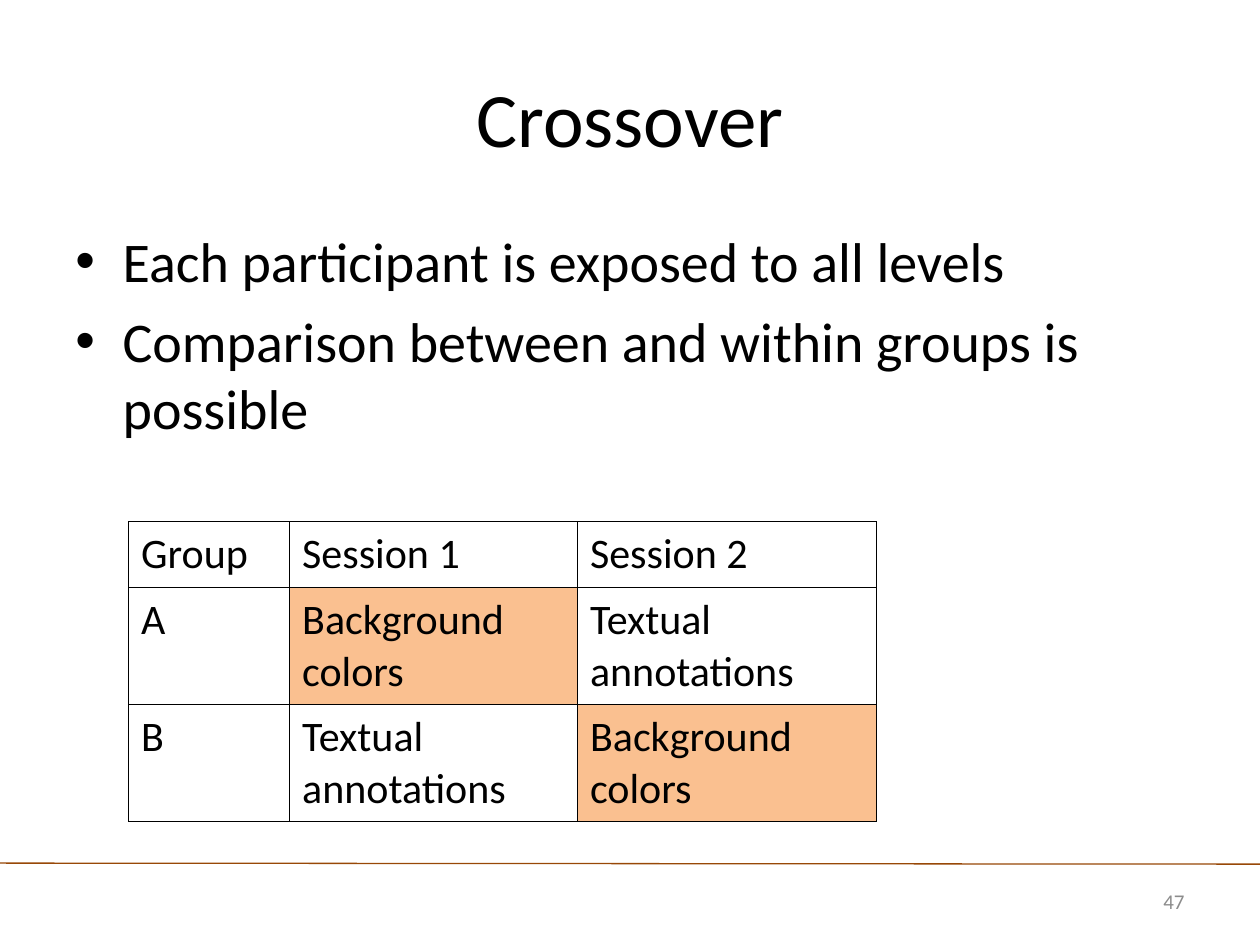
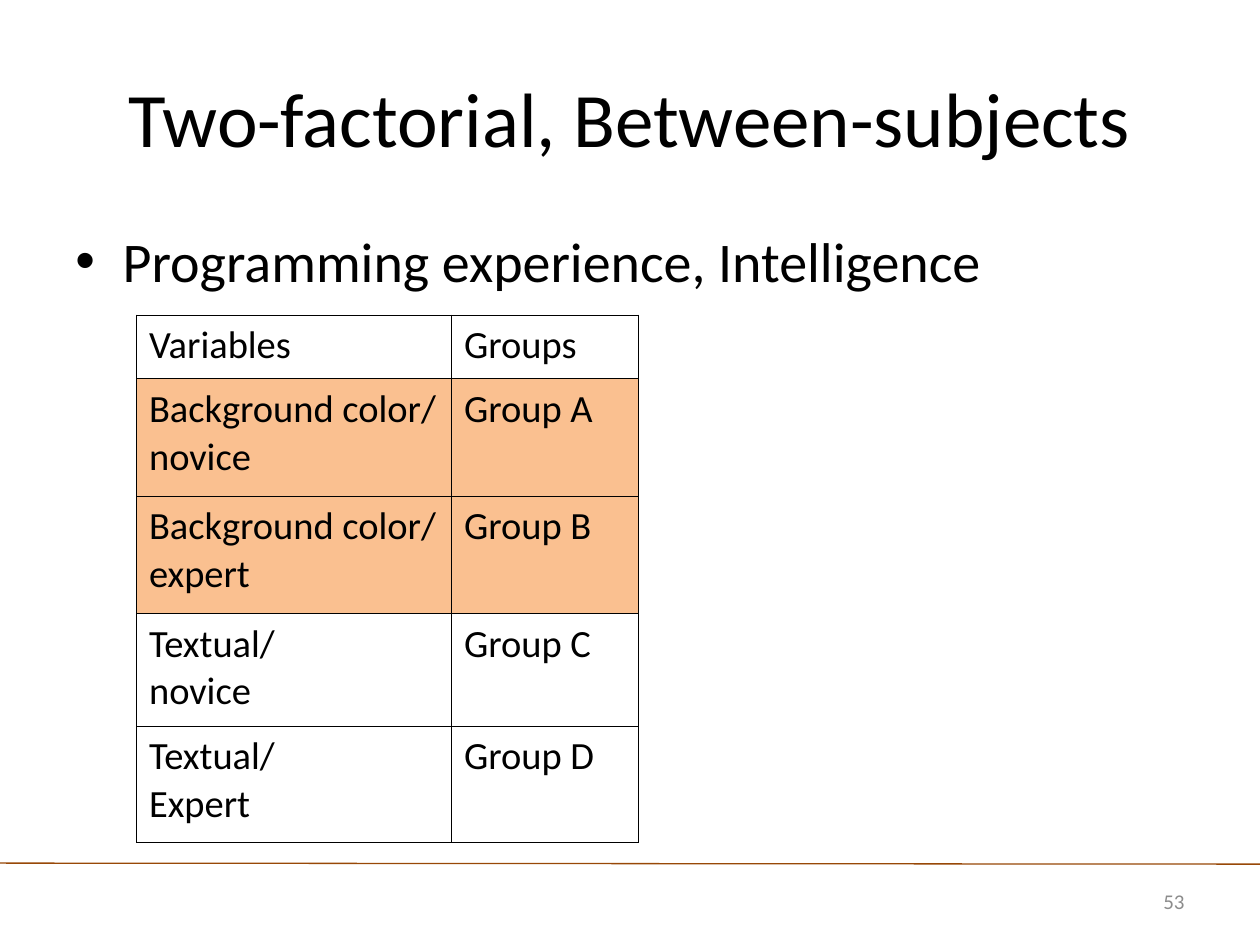
from lxml import etree
from pptx import Presentation
from pptx.dml.color import RGBColor
from pptx.enum import shapes, text
from pptx.oxml import ns
from pptx.util import Pt

FONT = "Calibri"
BLACK, GREY, BROWN, ORANGE, WHITE = "000000", "8C8C8C", "984807", "FAC090", "FFFFFF"
INDENT = 27

slides = [
    {
        "title": "Crossover",
        "bullets": ["Each participant is exposed to all levels",
                    "Comparison between and within groups is possible"],
        "number": "47",
        "table_position": (73.5, 298),
        "columns": [92, 164.5, 171],
        "rows": [37.5, 67, 67],
        "size": 24,
        "cells": [["Group", "Session 1", "Session 2"],
                  ["A", "Background colors", "Textual annotations"],
                  ["B", "Textual annotations", "Background colors"]],
        "highlighted": {(1, 1), (2, 2)},
    },
    {
        "title": "Two-factorial, Between-subjects",
        "bullets": ["Programming experience, Intelligence"],
        "number": "53",
        "table_position": (78, 180),
        "columns": [180, 106.5],
        "rows": [36.5, 67, 67, 64.5, 66.5],
        "size": 22,
        "cells": [["Variables", "Groups"],
                  ["Background color/ novice", "Group A"],
                  ["Background color/\nexpert", "Group B"],
                  ["Textual/\nnovice", "Group C"],
                  ["Textual/\nExpert", "Group D"]],
        "highlighted": {(1, 0), (1, 1), (2, 0), (2, 1)},
    },
]


def color(value):
    return RGBColor.from_string(value)


def write(frame, lines, size, font_color=BLACK, align=text.PP_ALIGN.LEFT):
    """Put each line in its own paragraph and return the paragraphs."""
    frame.word_wrap = True
    for index, line in enumerate(lines):
        paragraph = frame.add_paragraph() if index else frame.paragraphs[0]
        paragraph.alignment = align
        run = paragraph.add_run()
        run.text = line
        run.font.name = FONT
        run.font.size = Pt(size)
        run.font.color.rgb = color(font_color)
    return frame.paragraphs


presentation = Presentation()
presentation.slide_width, presentation.slide_height = Pt(720), Pt(540)

for content in slides:
    slide = presentation.slides.add_slide(presentation.slide_layouts[5])

    # Footer rule
    rule = slide.shapes.add_connector(shapes.MSO_CONNECTOR.STRAIGHT,
                                      Pt(0), Pt(493.2), Pt(720), Pt(493.8))
    rule.line.color.rgb = color(BROWN)
    rule.line.width = Pt(0.75)
    etree.SubElement(rule._element.spPr, ns.qn("a:effectLst"))

    # Title
    title = slide.shapes.title
    title.left, title.top, title.width, title.height = Pt(36), Pt(21.6), Pt(648), Pt(90)
    title.text_frame.vertical_anchor = text.MSO_ANCHOR.MIDDLE
    write(title.text_frame, [content["title"]], 44, align=text.PP_ALIGN.CENTER)

    # Bullets
    body = slide.shapes.add_textbox(Pt(36), Pt(126), Pt(648), Pt(356.4))
    for paragraph in write(body.text_frame, content["bullets"], 32):
        paragraph.space_before = Pt(7)
        properties = paragraph._p.get_or_add_pPr()
        properties.set("marL", str(Pt(INDENT)))
        properties.set("indent", str(-Pt(INDENT)))
        etree.SubElement(properties, ns.qn("a:buFont"), typeface="Arial")
        etree.SubElement(properties, ns.qn("a:buChar"), char="•")

    # Slide number
    number = slide.shapes.add_textbox(Pt(618.5), Pt(500.5), Pt(65.5), Pt(28.75))
    number.text_frame.vertical_anchor = text.MSO_ANCHOR.MIDDLE
    write(number.text_frame, [content["number"]], 12, GREY, text.PP_ALIGN.RIGHT)

    # Table
    left, top = content["table_position"]
    columns, rows = content["columns"], content["rows"]
    table = slide.shapes.add_table(len(rows), len(columns), Pt(left), Pt(top),
                                   Pt(sum(columns)), Pt(sum(rows))).table
    table.first_row = table.horz_banding = False
    for column, width in zip(table.columns, columns):
        column.width = Pt(width)
    for row, height in zip(table.rows, rows):
        row.height = Pt(height)
    for row_index, row_texts in enumerate(content["cells"]):
        for column_index, cell_text in enumerate(row_texts):
            cell = table.cell(row_index, column_index)
            for paragraph in write(cell.text_frame, cell_text.split("\n"), content["size"]):
                paragraph.line_spacing = 1.02
            properties = cell._tc.get_or_add_tcPr()
            for side in ("lnL", "lnR", "lnT", "lnB"):
                border = etree.SubElement(properties, ns.qn(f"a:{side}"), w=str(Pt(0.45)))
                fill = etree.SubElement(border, ns.qn("a:solidFill"))
                etree.SubElement(fill, ns.qn("a:srgbClr"), val=BLACK)
            is_highlighted = (row_index, column_index) in content["highlighted"]
            cell.fill.solid()
            cell.fill.fore_color.rgb = color(ORANGE if is_highlighted else WHITE)

presentation.save("out.pptx")
